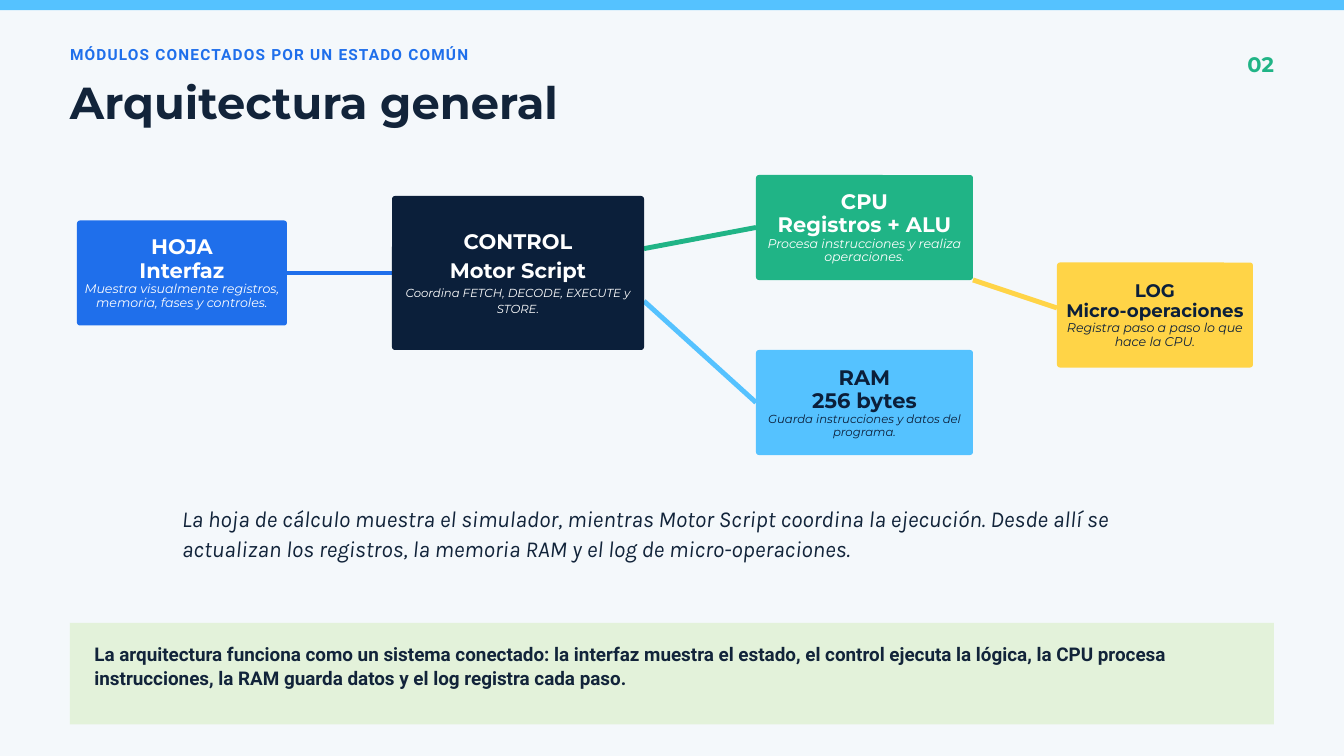
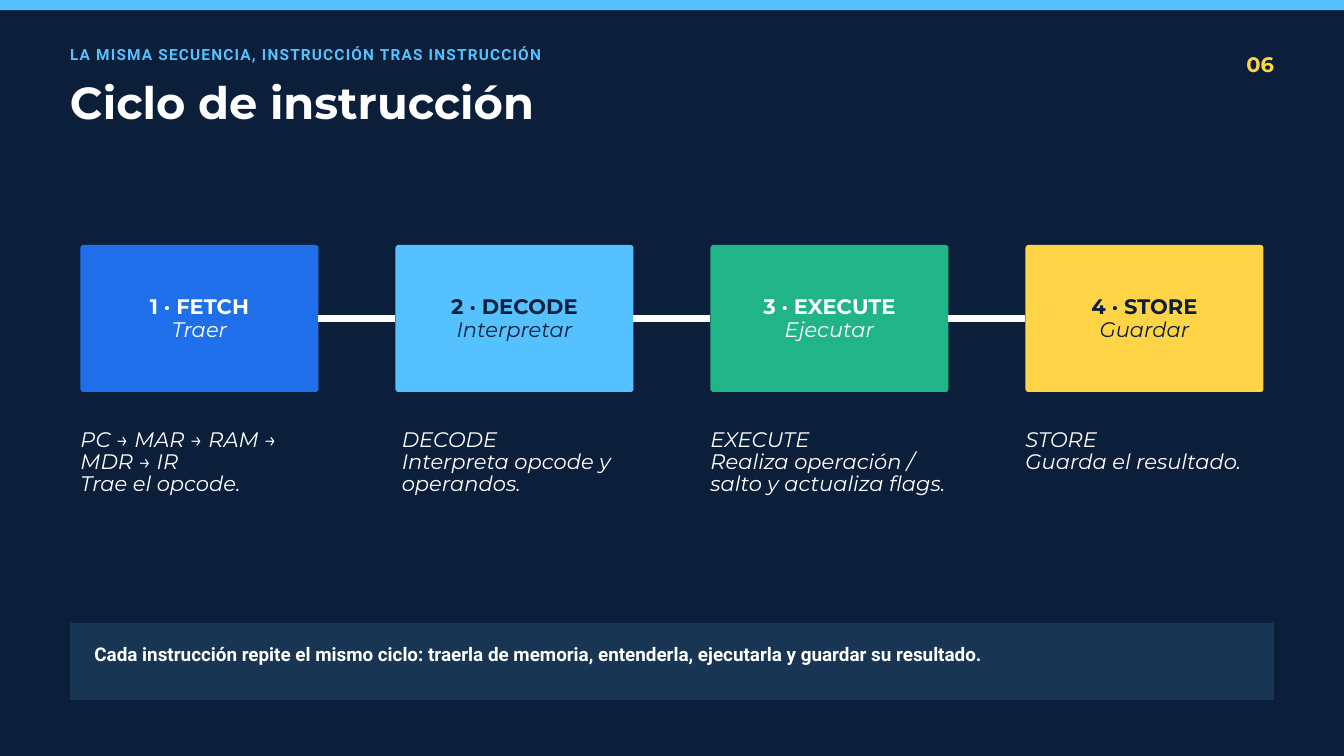
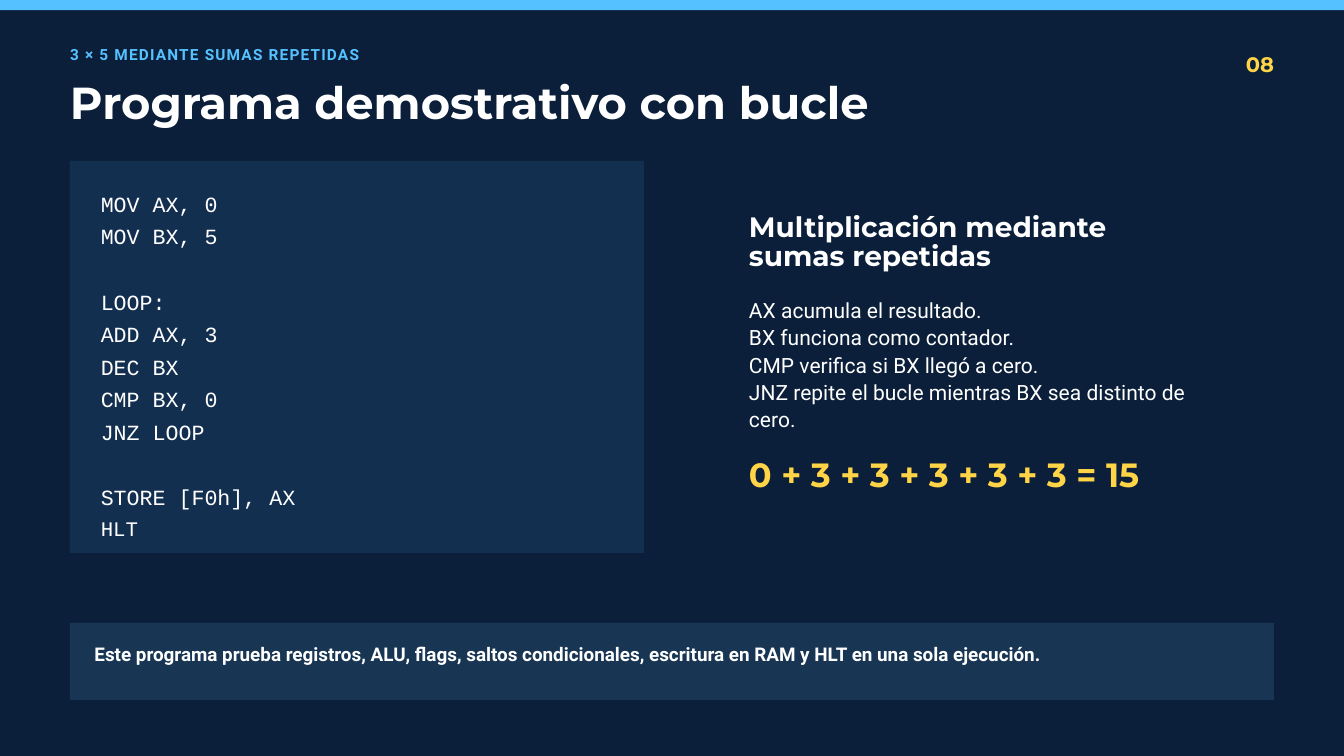
from lxml.etree import SubElement
from pptx import Presentation
from pptx.dml.color import RGBColor
from pptx.enum.shapes import MSO_CONNECTOR, MSO_SHAPE
from pptx.enum.text import MSO_ANCHOR, PP_ALIGN
from pptx.oxml.ns import qn
from pptx.util import Pt

BLUE, SKY, GREEN, YELLOW = "1F6FEB", "55C2FF", "20B486", "FFD447"
NAVY, INK, WHITE = "0B1F3A", "12243A", "FFFFFF"
PALE, MINT, STEEL, PANEL = "F4F8FB", "E3F2DA", "183654", "132F50"
HEAD, BODY, NOTE, CODE = "Montserrat", "Roboto", "Karla", "Courier New"
LEFT, WIDTH = 75, 1290


def rgb(value):
    """Turn a hex string into a colour."""
    return RGBColor.from_string(value)


class Deck:
    """Hold the shared style and the current slide."""

    def __init__(self):
        """Start an empty presentation of 20 by 11.25 inches."""
        self.prs = Presentation()
        self.prs.slide_width, self.prs.slide_height = Pt(1440), Pt(810)

    def slide(self, kicker, title, number, dark=True):
        """Add a slide with its band, kicker, title and number."""
        self.dark = dark
        self.ink = WHITE if dark else INK
        self.s = self.prs.slides.add_slide(self.prs.slide_layouts[6])
        fill = self.s.background.fill
        fill.solid()
        fill.fore_color.rgb = rgb(NAVY if dark else PALE)
        self.box((0, 0, 1440, 10.8), SKY)
        self.text((LEFT, 44.6, 675, 22.3), [(kicker, 16.5, 23.1, "b")],
                  BODY, SKY if dark else BLUE, spacing=130)
        self.text((LEFT, 87, 1155, 51), [(title, 48, 50.4, "b")])
        self.text((1305, 58.3, 60, 24.5), [(number, 22.5, 23.6, "b")],
                  color=YELLOW if dark else GREEN, align=PP_ALIGN.RIGHT)

    def fill_text(self, tf, paras, font, color, align=PP_ALIGN.LEFT, inset=(0, 0),
                  anchor=MSO_ANCHOR.TOP, spacing=0):
        """Fill a frame with (text, size, leading, style[, space before])."""
        tf.word_wrap = True
        tf.vertical_anchor = anchor
        tf.margin_left = tf.margin_right = Pt(inset[0])
        tf.margin_top = tf.margin_bottom = Pt(inset[1])
        for i, (text, size, leading, style, *before) in enumerate(paras):
            p = tf.paragraphs[0] if i == 0 else tf.add_paragraph()
            p.alignment, p.line_spacing = align, Pt(leading)
            if before and before[0]:
                p.space_before = Pt(before[0])
            r = p.add_run()
            r.text = text
            r.font.name, r.font.size = font, Pt(size)
            r.font.bold, r.font.italic = "b" in style, "i" in style
            r.font.color.rgb = rgb(color)
            if spacing:
                r._r.get_or_add_rPr().set("spc", str(spacing))

    def text(self, at, paras, font=HEAD, color=None, **options):
        """Add a text box."""
        tf = self.s.shapes.add_textbox(*map(Pt, at)).text_frame
        self.fill_text(tf, paras, font, color or self.ink, **options)

    def box(self, at, fill, kind=MSO_SHAPE.RECTANGLE):
        """Add a plain filled shape."""
        sp = self.s.shapes.add_shape(kind, *map(Pt, at))
        sp.shadow.inherit = False
        sp.fill.solid()
        sp.fill.fore_color.rgb = rgb(fill)
        sp.line.fill.background()
        return sp

    def node(self, at, fill, paras):
        """Add a rounded box with centred text."""
        sp = self.box(at, fill, MSO_SHAPE.ROUNDED_RECTANGLE)
        sp.adjustments[0] = 3.2 / min(at[2:])
        self.fill_text(sp.text_frame, paras, HEAD,
                       NAVY if fill in (SKY, YELLOW) else WHITE,
                       align=PP_ALIGN.CENTER, inset=(4.3, 4.3),
                       anchor=MSO_ANCHOR.MIDDLE)

    def line(self, ends, color, width=5.25):
        """Add a straight connector."""
        c = self.s.shapes.add_connector(MSO_CONNECTOR.STRAIGHT, *map(Pt, ends))
        c.line.color.rgb, c.line.width = rgb(color), Pt(width)
        SubElement(c._element.spPr, qn("a:effectLst"))

    def footer(self, text, height=82.5):
        """Add the closing message on its band."""
        sp = self.box((LEFT, 667.5, WIDTH, height), STEEL if self.dark else MINT)
        self.fill_text(sp.text_frame, [(text, 20.2, 26.3, "b")], BODY, self.ink,
                       inset=(26.2, 18.7))


def architecture(d):
    """Build the module map."""
    d.slide("MÓDULOS CONECTADOS POR UN ESTADO COMÚN", "Arquitectura general", "02",
            dark=False)
    for ends, color in [((307.5, 292.5, 420, 292.5), BLUE),
                        ((690, 266.4, 810, 243.75), GREEN),
                        ((690, 322.6, 810, 431.25), SKY),
                        ((1042.5, 300, 1132.5, 330), YELLOW)]:
        d.line(ends, color)
    modules = [
        ((82.5, 236.25, 225, 112.5), BLUE, ("HOJA", 22.5, 24.8), ("Interfaz", 22.5, 24.8),
         ("Muestra visualmente registros, memoria, fases y controles.", 13.5, 14.8)),
        ((420, 210, 270, 165), NAVY, ("CONTROL", 22.5, 24.8), ("Motor Script", 22.5, 31.7),
         ("Coordina FETCH, DECODE, EXECUTE y STORE.", 12.5, 17.6)),
        ((810, 187.5, 232.5, 112.5), GREEN, ("CPU", 22.5, 24.8),
         ("Registros + ALU", 22.5, 24.8),
         ("Procesa instrucciones y realiza operaciones.", 13.5, 14.8)),
        ((810, 375, 232.5, 112.5), SKY, ("RAM", 22.5, 24.8), ("256 bytes", 22.5, 24.8),
         ("Guarda instrucciones y datos del programa.", 12.5, 13.8)),
        ((1132.5, 281.25, 210, 112.5), YELLOW, ("LOG", 19.5, 21.4),
         ("Micro-operaciones", 19.5, 21.4),
         ("Registra paso a paso lo que hace la CPU.", 13.5, 14.8)),
    ]
    for at, fill, name, role, detail in modules:
        d.node(at, fill, [(*name, "b"), (*role, "b"), (*detail, "i")])
    d.text((195, 538.5, 1050, 62), [(
        "La hoja de cálculo muestra el simulador, mientras Motor Script coordina la "
        "ejecución. Desde allí se actualizan los registros, la memoria RAM y el log de "
        "micro-operaciones.", 24.5, 31.8, "i")], NOTE)
    d.footer("La arquitectura funciona como un sistema conectado: la interfaz muestra el "
             "estado, el control ejecuta la lógica, la CPU procesa instrucciones, la RAM "
             "guarda datos y el log registra cada paso.", 108.75)


def cycle(d):
    """Build the four steps of the instruction cycle."""
    d.slide("LA MISMA SECUENCIA, INSTRUCCIÓN TRAS INSTRUCCIÓN", "Ciclo de instrucción", "06")
    left, top, width, height, pitch = 86.25, 262.5, 255, 157.5, 337.5
    steps = [
        (BLUE, "FETCH", "Traer", "PC → MAR → RAM → MDR → IR", "Trae el opcode.", 0),
        (SKY, "DECODE", "Interpretar", "DECODE", "Interpreta opcode y operandos.", 6.75),
        (GREEN, "EXECUTE", "Ejecutar", "EXECUTE",
         "Realiza operación / salto y actualiza flags.", 0),
        (YELLOW, "STORE", "Guardar", "STORE", "Guarda el resultado.", 0),
    ]
    for i, (fill, name, action, lead, detail, indent) in enumerate(steps):
        x = left + i * pitch
        d.node((x, top, width, height), fill,
               [(f"{i + 1} · {name}", 22.5, 24.8, "b"), (action, 22.5, 24.8, "i")])
        if i:
            y = top + height / 2
            d.line((x - pitch + width, y, x, y), WHITE, 6.75)
        d.text((x + indent, 460, width - indent, 70.5),
               [(lead, 22.5, 23.6, "i"), (detail, 22.5, 23.6, "i")])
    d.footer("Cada instrucción repite el mismo ciclo: traerla de memoria, entenderla, "
             "ejecutarla y guardar su resultado.")


def program(d):
    """Build the code panel and its explanation."""
    d.slide("3 × 5 MEDIANTE SUMAS REPETIDAS", "Programa demostrativo con bucle", "08")
    d.box((LEFT, 172.5, 615, 420), PANEL)
    size, leading = 23.2, 34.9
    blocks = [["MOV AX, 0", "MOV BX, 5"],
              ["LOOP:", "ADD AX, 3", "DEC BX", "CMP BX, 0", "JNZ LOOP"],
              ["STORE [F0h], AX"]]
    code = [(row, size, leading, "", leading if b and not i else 0)
            for b, block in enumerate(blocks) for i, row in enumerate(block)]
    d.text((108, 197.3, 540, 376.5), code + [("HLT", 22.2, 33.4, "")], CODE)
    x, width = 802.5, 487.5
    d.text((x, 229, width, 64),
           [("Multiplicación mediante sumas repetidas", 30, 31.5, "b")])
    notes = ["AX acumula el resultado.", "BX funciona como contador.",
             "CMP verifica si BX llegó a cero.",
             "JNZ repite el bucle mientras BX sea distinto de cero."]
    d.text((x, 316.8, width, 146), [(note, 22.5, 29.2, "") for note in notes], BODY)
    d.text((x, 491.8, width, 38), [("0 + 3 + 3 + 3 + 3 + 3 = 15", 36, 37.8, "b")],
           color=YELLOW)
    d.footer("Este programa prueba registros, ALU, flags, saltos condicionales, escritura "
             "en RAM y HLT en una sola ejecución.")


def main():
    """Build the deck and save it."""
    d = Deck()
    architecture(d)
    cycle(d)
    program(d)
    d.prs.save("out.pptx")


if __name__ == "__main__":
    main()
